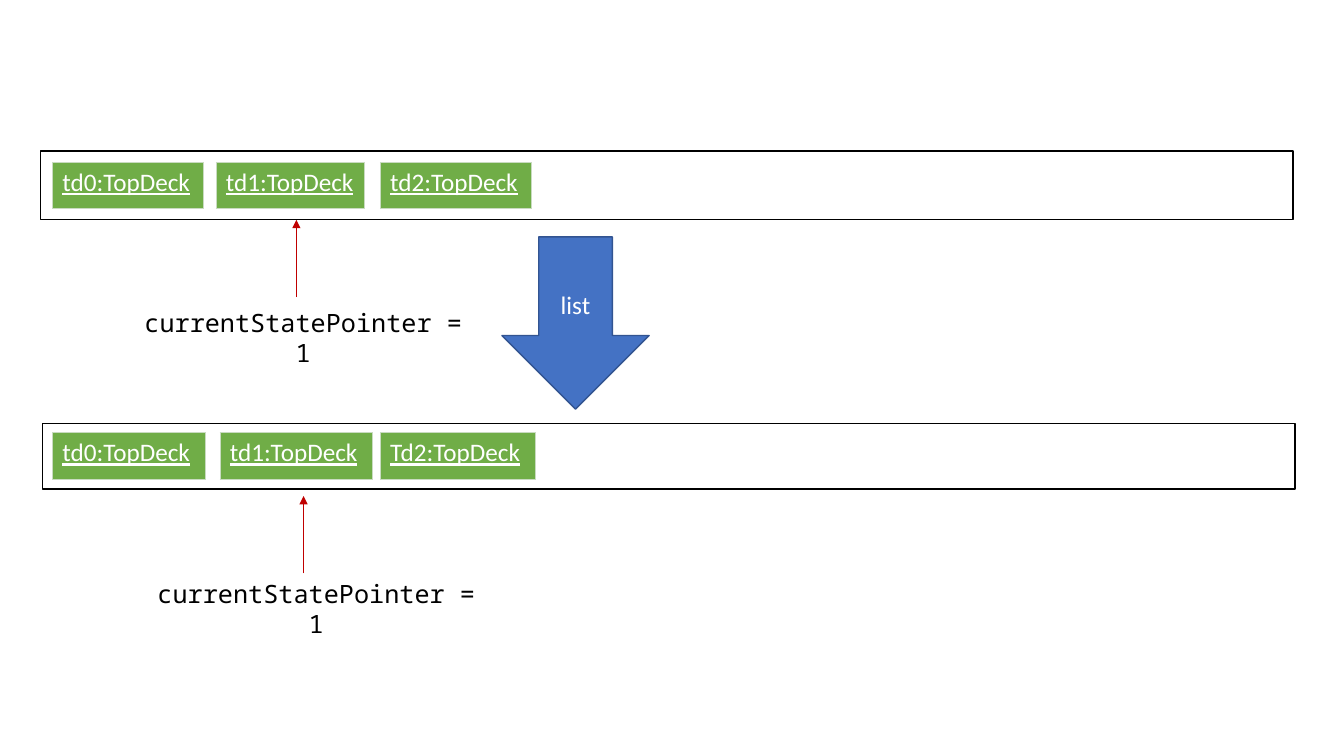
"""Two state lists of decks, before and after the list command."""
from dataclasses import dataclass

from lxml import etree
from pptx import Presentation
from pptx.dml.color import RGBColor
from pptx.enum.shapes import MSO_CONNECTOR, MSO_SHAPE
from pptx.enum.text import MSO_ANCHOR, PP_ALIGN
from pptx.oxml.ns import qn
from pptx.util import Cm, Pt

RECTANGLE = MSO_SHAPE.RECTANGLE
DOWN_ARROW = MSO_SHAPE.DOWN_ARROW
STRAIGHT = MSO_CONNECTOR.STRAIGHT
CENTER = PP_ALIGN.CENTER
MIDDLE = MSO_ANCHOR.MIDDLE
BLANK_LAYOUT = 6


@dataclass(frozen=True)
class Theme:
    """Colours, fonts, type size and line widths of the slide."""
    black: str = "000000"
    white: str = "FFFFFF"
    blue: str = "4472C4"
    dark_blue: str = "325491"
    green: str = "70AD47"
    pale_green: str = "C9DBC1"
    red: str = "C00000"
    body_font: str = "Calibri"
    code_font: str = "Noto Sans Mono"
    text_size: float = 18
    outline: float = 1
    thin_line: float = 0.5


class SlideBuilder:
    """Draws each kind of element on one slide in one theme."""

    def __init__(self, slide, theme):
        """Keep the slide and the theme."""
        self.slide = slide
        self.theme = theme

    def set_text(self, text_frame, text, font_name, color, alignment=None, underline=None):
        """Set one paragraph of text and format its run."""
        text_frame.text = text
        paragraph = text_frame.paragraphs[0]
        paragraph.alignment = alignment
        font = paragraph.runs[0].font
        font.name = font_name
        font.size = Pt(self.theme.text_size)
        font.bold = False
        font.underline = underline
        font.color.rgb = RGBColor.from_string(color)

    def add_shape(self, kind, left, top, width, height, line_color, fill_color=None):
        """Add an outlined shape, filled only when a colour is given."""
        shape = self.slide.shapes.add_shape(kind, Cm(left), Cm(top), Cm(width), Cm(height))
        shape.shadow.inherit = False
        if fill_color:
            shape.fill.solid()
            shape.fill.fore_color.rgb = RGBColor.from_string(fill_color)
        else:
            shape.fill.background()
        shape.line.color.rgb = RGBColor.from_string(line_color)
        shape.line.width = Pt(self.theme.outline)
        return shape

    def add_command(self, text, left, top, width, height):
        """Add the block arrow that names the command."""
        theme = self.theme
        arrow = self.add_shape(DOWN_ARROW, left, top, width, height,
                               theme.dark_blue, theme.blue)
        arrow.text_frame.vertical_anchor = MIDDLE
        self.set_text(arrow.text_frame, text, theme.body_font, theme.white, CENTER)

    def add_caption(self, text, left, top, width, height):
        """Add a centred caption in the code font."""
        box = self.slide.shapes.add_textbox(Cm(left), Cm(top), Cm(width), Cm(height))
        box.text_frame.word_wrap = True
        self.set_text(box.text_frame, text, self.theme.code_font, self.theme.black, CENTER)

    def add_deck(self, text, left, top, width, height):
        """Add a deck object as a table of one cell."""
        frame = self.slide.shapes.add_table(1, 1, Cm(left), Cm(top), Cm(width), Cm(height))
        cell = frame.table.cell(0, 0)
        self.set_text(cell.text_frame, text, self.theme.body_font, self.theme.white,
                      underline=True)
        cell.fill.solid()
        cell.fill.fore_color.rgb = RGBColor.from_string(self.theme.green)
        self.add_borders(cell)

    def add_borders(self, cell):
        """Draw a thin line on the four sides of a cell."""
        properties = cell._tc.get_or_add_tcPr()
        for position, side in enumerate(("a:lnL", "a:lnR", "a:lnT", "a:lnB")):
            line = etree.Element(qn(side), w=str(Pt(self.theme.thin_line)))
            fill = etree.SubElement(line, qn("a:solidFill"))
            etree.SubElement(fill, qn("a:srgbClr"), val=self.theme.pale_green)
            properties.insert(position, line)

    def add_pointer(self, x, bottom, top):
        """Add a thin arrow that points straight up."""
        pointer = self.slide.shapes.add_connector(STRAIGHT, Cm(x), Cm(bottom), Cm(x), Cm(top))
        pointer.line.color.rgb = RGBColor.from_string(self.theme.red)
        pointer.line.width = Pt(self.theme.thin_line)
        etree.SubElement(pointer.line._get_or_add_ln(), qn("a:tailEnd"), type="triangle")
        etree.SubElement(pointer._element.spPr, qn("a:effectLst"))

    def add_state(self, frame, deck_top, decks, caption, pointer):
        """Add a framed list of decks with its pointer and caption."""
        self.add_shape(RECTANGLE, *frame, self.theme.black)
        for text, left, width in decks:
            self.add_deck(text, left, deck_top, width, 1.17)
        self.add_caption("currentStatePointer = 1", *caption, 8.92, 1.02)
        self.add_pointer(*pointer)


def main():
    """Build the slide and save it."""
    presentation = Presentation()
    presentation.slide_width = Cm(33.87)
    presentation.slide_height = Cm(19.05)
    slide = presentation.slides.add_slide(presentation.slide_layouts[BLANK_LAYOUT])
    builder = SlideBuilder(slide, Theme())

    builder.add_command("list", 12.65, 5.97, 3.71, 4.34)
    builder.add_state(
        frame=(1.02, 3.81, 31.57, 1.73),
        deck_top=4.09,
        decks=[("td0:TopDeck", 1.32, 3.81),
               ("td1:TopDeck", 5.44, 3.73),
               ("td2:TopDeck", 9.58, 3.81)],
        caption=(3.18, 7.62),
        pointer=(7.47, 7.49, 5.54))
    builder.add_state(
        frame=(1.07, 10.67, 31.57, 1.65),
        deck_top=10.9,
        decks=[("td0:TopDeck", 1.32, 3.86),
               ("td1:TopDeck", 5.54, 3.84),
               ("Td2:TopDeck", 9.58, 3.91)],
        caption=(3.51, 14.45),
        pointer=(7.65, 14.45, 12.5))

    presentation.save("out.pptx")


main()
